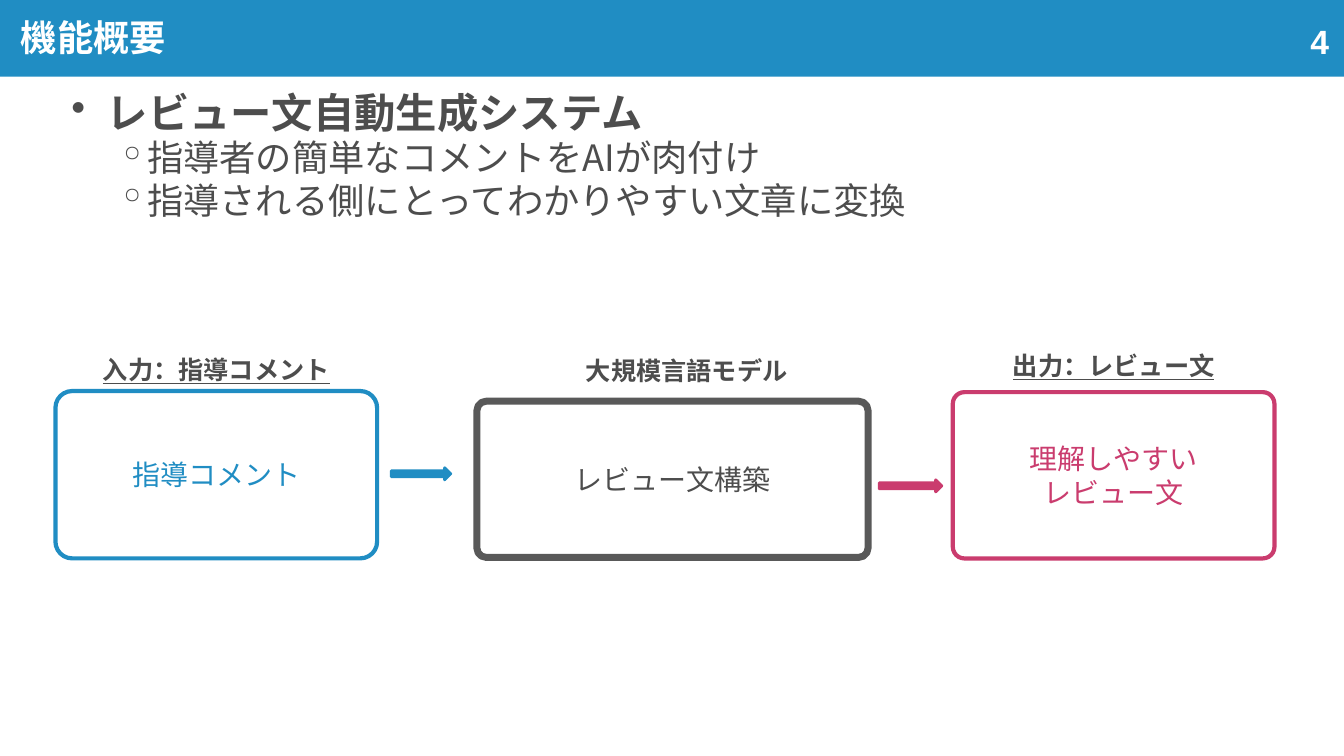
import pptx
import pptx.util
import pptx.dml.color
import pptx.enum.shapes
import pptx.enum.text
import pptx.oxml

PX = 9144  # 100 px to the inch
WIDTH, HEIGHT = 1333, 750
BLUE, PINK, GRAY, FRAME, WHITE = "208DC3", "CA3C6E", "4D4D4D", "595959", "FFFFFF"
CJK = "Noto Sans CJK JP"
SHAPE = pptx.enum.shapes.MSO_SHAPE
ALIGN = pptx.enum.text.PP_ALIGN
ANCHOR = pptx.enum.text.MSO_ANCHOR


def rgb(value):
    return pptx.dml.color.RGBColor.from_string(value)


def emu(box):
    return [length * PX for length in box]


def add_bullet(paragraph, symbol, margin, hanging):
    properties = paragraph._p.get_or_add_pPr()
    properties.set("marL", str(margin * PX))
    properties.set("indent", str(-hanging * PX))
    bullet = pptx.oxml.parse_xml(
        '<a:buChar xmlns:a="http://schemas.openxmlformats.org/drawingml/2006/main" '
        f'char="{symbol}"/>')
    properties.append(bullet)


def write(paragraph, text, size, color, font="Arial", bold=False, underline=False,
          align=ALIGN.LEFT, spacing=None, before=None):
    paragraph.alignment = align
    if spacing is not None:
        paragraph.line_spacing = spacing
    if before is not None:
        paragraph.space_before = pptx.util.Pt(before)
    paragraph.text = text
    for run in paragraph.runs:
        run.font.size = pptx.util.Pt(size)
        run.font.name = font
        run.font.bold = bold
        run.font.underline = underline
        run.font.color.rgb = rgb(color)
        east_asian = pptx.oxml.parse_xml(
            '<a:ea xmlns:a="http://schemas.openxmlformats.org/drawingml/2006/main" '
            f'typeface="{CJK}"/>')
        run.font._element.find(pptx.oxml.ns.qn("a:latin")).addnext(east_asian)


def add_text_frame(slide, box, anchor=ANCHOR.TOP, wrap=True):
    frame = slide.shapes.add_textbox(*emu(box)).text_frame
    frame.word_wrap = wrap
    frame.vertical_anchor = anchor
    return frame


def add_shape(slide, kind, box, fill=None, line=None, weight=0):
    shape = slide.shapes.add_shape(kind, *emu(box))
    shape.shadow.inherit = False
    if fill:
        shape.fill.solid()
        shape.fill.fore_color.rgb = rgb(fill)
    else:
        shape.fill.background()
    if line:
        shape.line.color.rgb = rgb(line)
        shape.line.width = pptx.util.Pt(weight)
    else:
        shape.line.fill.background()
    return shape


def add_header(slide, box, title, number):
    left, top, width, height = box
    add_shape(slide, SHAPE.RECTANGLE, box, fill=BLUE)
    heading = add_text_frame(slide, (left + 11, top + 5, width - 12, height - 12), ANCHOR.MIDDLE)
    write(heading.paragraphs[0], title, 25.9, WHITE, font=CJK, bold=True)
    page = add_text_frame(slide, (left + width - 316, top + 31, 311, 20), ANCHOR.MIDDLE)
    write(page.paragraphs[0], number, 24, WHITE, bold=True, align=ALIGN.RIGHT)


def add_summary(slide, box, heading, details):
    frame = add_text_frame(slide, box)
    first = frame.paragraphs[0]
    add_bullet(first, "•", 35, 35)
    write(first, heading, 29.5, GRAY, font=CJK, bold=True, spacing=0.9)
    for detail in details:
        paragraph = frame.add_paragraph()
        paragraph.level = 1
        add_bullet(paragraph, "◦", 75, 29)
        write(paragraph, detail, 25.9, GRAY, font=CJK, spacing=0.9, before=2.3)


def add_stage(slide, box, label, label_top, content, line, color, weight, rounding,
              fill=None, underline=True, label_shift=0):
    """Draw a rounded box with its heading centred above it."""
    left, top, width, height = box
    card = add_shape(slide, SHAPE.ROUNDED_RECTANGLE, box, fill, line, weight)
    card.adjustments[0] = rounding
    card.text_frame.word_wrap = True
    card.text_frame.vertical_anchor = ANCHOR.MIDDLE
    write(card.text_frame.paragraphs[0], content, 20, color, align=ALIGN.CENTER,
          spacing=pptx.util.Pt(24))
    caption = add_text_frame(slide, (left + label_shift, label_top, width, 40), wrap=False)
    write(caption.paragraphs[0], label, 18, GRAY, bold=True, underline=underline,
          align=ALIGN.CENTER, spacing=pptx.util.Pt(21.6))


def add_flow(slide, left, top):
    add_stage(slide, (left, top + 45, 319, 166), "入力：指導コメント", top + 4,
              "指導コメント", BLUE, BLUE, 3, 0.1)
    add_stage(slide, (left + 418, top + 55, 388, 155), "大規模言語モデル", top + 5,
              "レビュー文構築", FRAME, GRAY, 5, 0.06, fill=WHITE, underline=False,
              label_shift=14)
    add_stage(slide, (left + 890, top + 46, 319, 165), "出力：レビュー文", top,
              "理解しやすい\vレビュー文", PINK, PINK, 3, 0.07)
    for x, y, width, color in ((333, 121, 59, BLUE), (817, 133, 62, PINK)):
        add_shape(slide, SHAPE.RIGHT_ARROW, (left + x, top + y, width, 12), color, color, 2)


def main():
    deck = pptx.Presentation()
    deck.slide_width, deck.slide_height = emu((WIDTH, HEIGHT))
    slide = deck.slides.add_slide(deck.slide_layouts[6])
    add_header(slide, (0, 0, WIDTH, 76), "機能概要", "4")
    add_summary(slide, (61, 87, 1222, 413), "レビュー文自動生成システム",
                ("指導者の簡単なコメントをAIが肉付け",
                 "指導される側にとってわかりやすい文章に変換"))
    add_flow(slide, 55, 343)
    deck.save("out.pptx")


if __name__ == "__main__":
    main()
